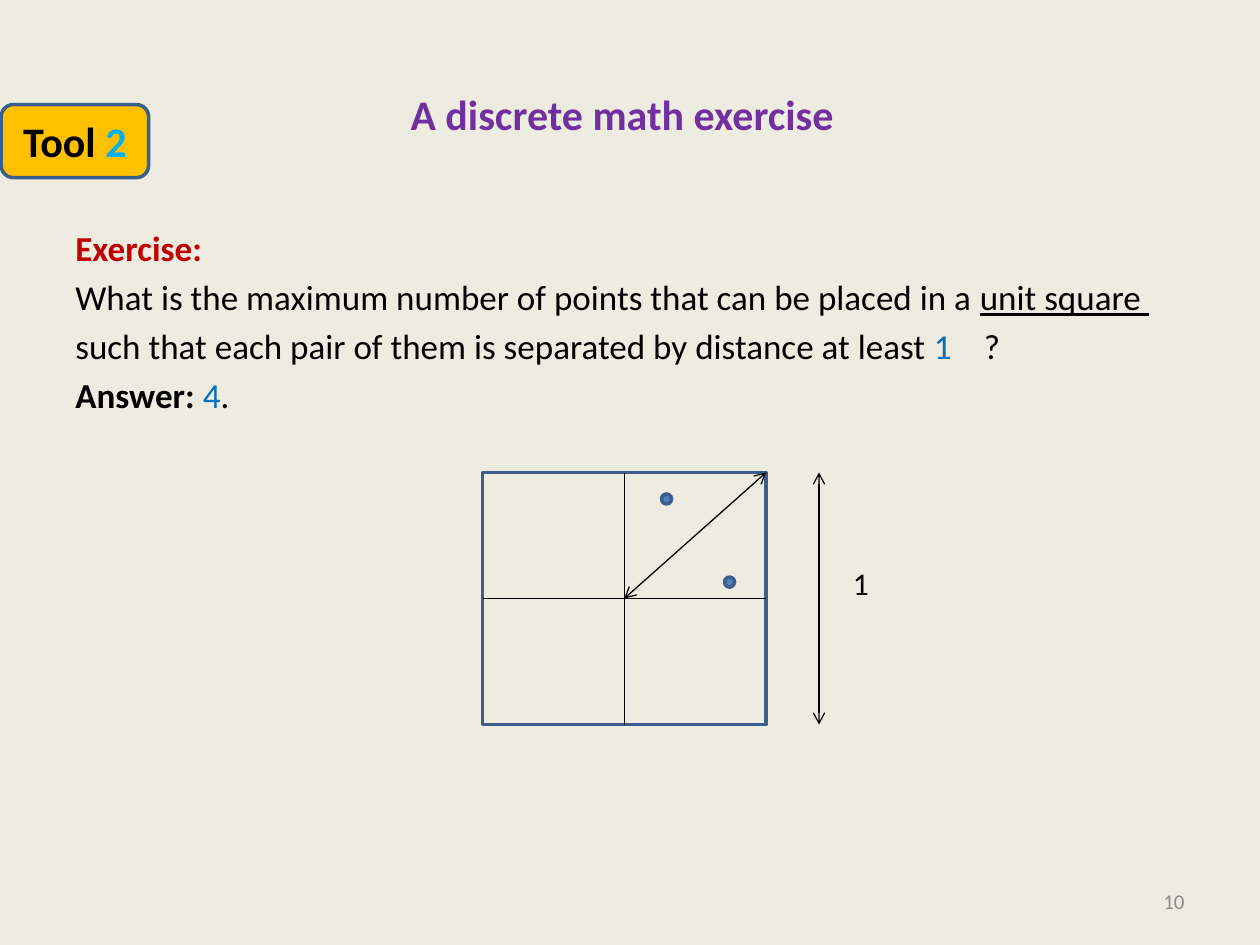
from lxml import etree
from pptx import Presentation
from pptx.dml.color import RGBColor
from pptx.enum.shapes import MSO_CONNECTOR, MSO_SHAPE
from pptx.enum.text import MSO_ANCHOR, PP_ALIGN
from pptx.oxml.ns import qn
from pptx.util import Inches, Pt

LINE = MSO_CONNECTOR.STRAIGHT
RECT, ROUND, OVAL = MSO_SHAPE.RECTANGLE, MSO_SHAPE.ROUNDED_RECTANGLE, MSO_SHAPE.OVAL
LEFT, CENTER, RIGHT = PP_ALIGN.LEFT, PP_ALIGN.CENTER, PP_ALIGN.RIGHT
MIDDLE = MSO_ANCHOR.MIDDLE

CREAM = RGBColor(0xEE, 0xEC, 0xE1)
BLACK = RGBColor(0, 0, 0)
RED = RGBColor(0xC0, 0, 0)
BLUE = RGBColor(0, 0x70, 0xC0)
SKY = RGBColor(0, 0xB0, 0xF0)
PURPLE = RGBColor(0x70, 0x30, 0xA0)
GRAY = RGBColor(0x8C, 0x8C, 0x8C)
GOLD = RGBColor(0xFF, 0xC0, 0)
NAVY = RGBColor(0x3A, 0x5F, 0x8C)
STEEL = RGBColor(0x4F, 0x81, 0xBD)

prs = Presentation()
prs.slide_width, prs.slide_height = Inches(10), Inches(7.5)
slide = prs.slides.add_slide(prs.slide_layouts[6])
slide.background.fill.solid()
slide.background.fill.fore_color.rgb = CREAM
shapes = slide.shapes


def write(para, size, runs, align=LEFT):
    """Fill a paragraph with (text, colour, bold, underline) runs."""
    para.alignment = align
    for words, color, bold, under in runs:
        run = para.add_run()
        run.text = words
        font = run.font
        font.name, font.size = "Calibri", Pt(size)
        font.bold, font.underline = bold, under
        font.color.rgb = color


def draw(kind, left, top, width, height, fill=None):
    """Add an outlined shape, hollow when it has no fill."""
    shape = shapes.add_shape(kind, Inches(left), Inches(top), Inches(width), Inches(height))
    shape.shadow.inherit = False
    if fill is None:
        shape.fill.background()
    else:
        shape.fill.solid()
        shape.fill.fore_color.rgb = fill
    shape.line.color.rgb = NAVY
    shape.line.width = Pt(2)
    return shape


# Exercise text
body = shapes.add_textbox(Inches(0.5), Inches(1.75), Inches(9), Inches(4.95)).text_frame
body.word_wrap = True
lines = [
    [("Exercise:", RED, True, False)],
    [("What is the maximum number of points that can be placed in a ", BLACK, False, False),
     ("unit square ", BLACK, False, True)],
    [("such that each pair of them is separated by distance at least ", BLACK, False, False),
     ("1\t", BLUE, False, False), ("?", BLACK, False, False)],
    [("Answer: ", BLACK, True, False), ("4", BLUE, False, False), (".", BLACK, False, False)],
]
for i, runs in enumerate(lines):
    para = body.paragraphs[0] if i == 0 else body.add_paragraph()
    if i:
        para.space_before = Pt(4)
    if "\t" in runs[1 % len(runs)][0]:
        tabs = etree.SubElement(para._p.get_or_add_pPr(), qn("a:tabLst"))
        etree.SubElement(tabs, qn("a:tab"), pos=str(Inches(7.21)), algn="l")
    write(para, 20, runs)

# Title, side length and slide number
labels = [
    (3.16, 0.65, 3.59, 0.5, "A discrete math exercise", 24, PURPLE, True, LEFT),
    (6.67, 4.43, 0.33, 0.4, "1", 18, BLACK, False, LEFT),
    (7.17, 6.95, 2.33, 0.4, "10", 12, GRAY, False, RIGHT),
]
for left, top, width, height, words, size, color, bold, align in labels:
    box = shapes.add_textbox(Inches(left), Inches(top), Inches(width), Inches(height))
    frame = box.text_frame
    frame.word_wrap = align == RIGHT
    if align == RIGHT:
        frame.vertical_anchor = MIDDLE
    write(frame.paragraphs[0], size, [(words, color, bold, False)], align)

# Unit square
x, y, wide, high = 3.83, 3.75, 2.25, 2
midx, midy = x + wide / 2, y + high / 2
draw(RECT, x, y, wide, high)

# Grid lines, then the diagonal and the height as arrows
links = [
    (midx, y, midx, y + high, False),
    (x, midy, x + wide, midy, False),
    (x + wide, y, midx, midy, True),
    (6.5, y, 6.5, y + high, True),
]
for x1, y1, x2, y2, arrow in links:
    link = shapes.add_connector(LINE, Inches(x1), Inches(y1), Inches(x2), Inches(y2))
    link.line.color.rgb = BLACK
    link.line.width = Pt(0.75)
    if arrow:
        for end in ("a:headEnd", "a:tailEnd"):
            etree.SubElement(link.line._get_or_add_ln(), qn(end), type="arrow")
    etree.SubElement(link._element.spPr, qn("a:effectLst"))

# Points
for left, top in ((5.25, 3.92), (5.75, 4.58)):
    draw(OVAL, left, top, 0.08, 0.08, STEEL)

# Tool badge
badge = draw(ROUND, 0.01, 0.83, 1.17, 0.58, GOLD).text_frame
badge.vertical_anchor = MIDDLE
badge.word_wrap = False
write(badge.paragraphs[0], 24, [("Tool ", BLACK, True, False), ("2", SKY, True, False)], CENTER)

prs.save("out.pptx")
